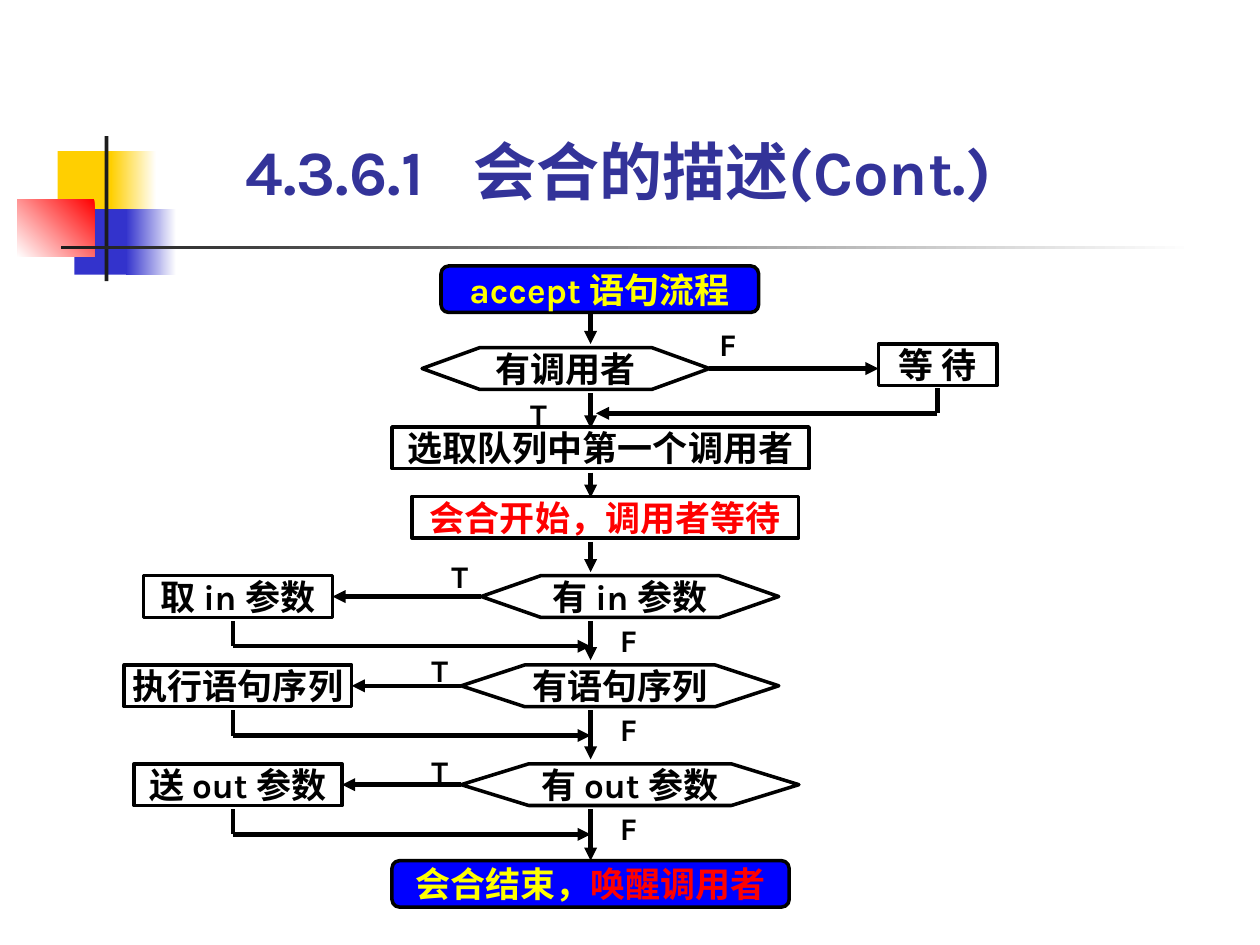
from lxml.etree import SubElement
from pptx import Presentation
from pptx.dml.color import RGBColor
from pptx.enum.shapes import MSO_CONNECTOR, MSO_SHAPE as SHAPE
from pptx.enum.text import MSO_ANCHOR as ANCHOR, PP_ALIGN as ALIGN
from pptx.oxml.ns import qn
from pptx.util import Pt

COLORS = {
    "black": "000000", "white": "FFFFFF", "ink": "1C1C1C", "title": "333399",
    "yellow": "FFFF00", "red": "FF0000", "blue": "0000FF",
    "gold": "FFCF01", "indigo": "3333CC",
}
LATIN, EAST_ASIAN = "Karla", "Noto Sans CJK SC"
TOP, LEFT, BOTTOM, RIGHT = range(4)


def rgb(name):
    return RGBColor.from_string(COLORS[name])


def add_run(paragraph, text, size=20, color="black", font=LATIN):
    run = paragraph.add_run()
    run.text = text
    run.font.size, run.font.bold, run.font.name = Pt(size), True, font
    run.font.color.rgb = rgb(color)
    SubElement(run.font._element, qn("a:ea"), typeface=EAST_ASIAN)


class FlowSlide:
    """Holds the line style of the flow chart and the slide it is drawn on."""

    def __init__(self, slide, outline=2, arrow_width=2.5):
        self.slide = slide
        self.outline = outline
        self.arrow_width = arrow_width

    def title(self, number, text, box, tab):
        shape = self.slide.shapes.title
        shape.left, shape.top, shape.width, shape.height = map(Pt, box)
        frame = shape.text_frame
        frame.vertical_anchor = ANCHOR.BOTTOM
        paragraph = frame.paragraphs[0]
        paragraph.alignment = ALIGN.LEFT
        tabs = SubElement(paragraph._p.get_or_add_pPr(), qn("a:tabLst"))
        SubElement(tabs, qn("a:tab"), pos=str(Pt(tab)), algn="l")
        add_run(paragraph, f"{number}\t{text}", size=36, color="title")

    def shape(self, kind, box):
        shape = self.slide.shapes.add_shape(kind, *map(Pt, box))
        shape.shadow.inherit = False
        return shape

    def ornament(self, box, *colors, angle=180):
        """Borderless rectangle: one colour is solid, two make a gradient."""
        shape = self.shape(SHAPE.RECTANGLE, box)
        shape.line.fill.background()
        if len(colors) == 1:
            shape.fill.solid()
            shape.fill.fore_color.rgb = rgb(colors[0])
            return
        shape.fill.gradient()
        shape.fill.gradient_angle = angle
        for stop, color in zip(shape.fill.gradient_stops, colors):
            stop.color.rgb = rgb(color)

    def set_text(self, shape, *runs, align=ALIGN.CENTER, anchor=ANCHOR.MIDDLE, **style):
        """Each run is a (text, color) pair."""
        frame = shape.text_frame
        frame.word_wrap = True
        frame.vertical_anchor = anchor
        frame.margin_left = frame.margin_right = 0
        frame.margin_top = frame.margin_bottom = 0
        paragraph = frame.paragraphs[0]
        paragraph.alignment = align
        for text, color in runs:
            add_run(paragraph, text, color=color, **style)

    def node(self, kind, box, *runs, fill=None, **style):
        shape = self.shape(kind, box)
        if fill:
            shape.fill.solid()
            shape.fill.fore_color.rgb = rgb(fill)
        else:
            shape.fill.background()
        shape.line.color.rgb = rgb("black")
        shape.line.width = Pt(self.outline)
        self.set_text(shape, *runs, **style)
        return shape

    def step(self, box, text, color="black", **style):
        return self.node(SHAPE.RECTANGLE, box, (text, color), **style)

    def decision(self, box, text):
        return self.node(SHAPE.FLOWCHART_PREPARATION, box, (text, "black"))

    def terminal(self, box, *runs):
        return self.node(SHAPE.FLOWCHART_ALTERNATE_PROCESS, box, *runs, fill="blue")

    def label(self, text, left, top):
        box = self.slide.shapes.add_textbox(Pt(left), Pt(top), Pt(17.3), Pt(21.6))
        self.set_text(box, (text, "black"), align=ALIGN.LEFT, anchor=ANCHOR.TOP, size=18)

    def line(self, start, end, arrow=True, begin_at=None, end_at=None):
        """begin_at and end_at are (shape, side) pairs to join."""
        connector = self.slide.shapes.add_connector(
            MSO_CONNECTOR.STRAIGHT, *map(Pt, (*start, *end)))
        if begin_at:
            connector.begin_connect(*begin_at)
        if end_at:
            connector.end_connect(*end_at)
        connector.line.color.rgb = rgb("black")
        connector.line.width = Pt(self.arrow_width)
        if arrow:
            SubElement(connector.line._get_or_add_ln(), qn("a:tailEnd"), type="triangle")
        SubElement(connector._element.spPr, qn("a:effectLst"))


def draw_ornaments(flow):
    flow.ornament((33, 86.4, 34.6, 37.4), "gold")
    flow.ornament((63.4, 86.4, 25.9, 37.4), "white", "gold")
    flow.ornament((42.5, 119.5, 33, 37.4), "indigo")
    flow.ornament((72, 119.5, 28.8, 37.4), "white", "indigo")
    flow.ornament((10, 113.8, 44, 33), "red", "white", angle=225)
    flow.ornament((59.8, 77.8, 2.2, 82.8), "ink")
    flow.ornament((34.6, 140.4, 648, 2.2), "white", "ink")


def draw_flow(flow):
    spine, height = 337.5, 23.8
    flow.terminal((252, 152, 181.5, 26.6), ("accept 语句流程", "yellow"))
    caller = flow.decision((241.2, 198.7, 164.2, height), "有调用者")
    flow.step((224, 244, 238.3, height), "选取队列中第一个调用者")
    flow.step((235.4, 283.7, 221, height), "会合开始，调用者等待", color="red")
    flow.step((502, 196.6, 67.7, height), "等 待", font=EAST_ASIAN)
    finish = flow.terminal((224, 491.8, 227, 26.6),
                           ("会合结束，", "yellow"), ("唤醒调用者", "red"))

    flow.label("F", 411, 185.8)
    flow.label("T", 303, 226)
    flow.line((405.4, 210.6), (502, 210.6), begin_at=(caller, RIGHT))
    flow.line((535.7, 221.8), (535.7, 236.2), arrow=False)
    flow.line((535.7, 236.2), (340.6, 236.2))
    for top, bottom in ((179.3, 196.6), (224.6, 244.8), (270, 284.4), (309.6, 327)):
        flow.line((spine, top), (spine, bottom))

    branch_center, return_x = 136, 133.2
    # top, decision text, left and width, branch text and width, T label top, next row
    branches = (
        (329, "有 in 参数", 275, 170, "取 in 参数", 108, 318.2, 377.3),
        (380, "有语句序列", 263.5, 181.5, "执行语句序列", 130, 372.2, 434),
        (436.5, "有 out 参数", 263.5, 193, "送 out 参数", 119, 430, 491.8),
    )
    for top, question, left, width, action, action_width, true_top, next_top in branches:
        decision = flow.decision((left, top, width, height), question)
        action_left = branch_center - action_width / 2
        step = flow.step((action_left, top, action_width, height), action)
        middle, exit_y, return_y = top + height / 2, top + 26, top + 40.3
        flow.label("T", left - 17, true_top)
        flow.label("F", 354.2, exit_y)
        flow.line((left, middle), (action_left + action_width, middle),
                  begin_at=(decision, LEFT), end_at=(step, RIGHT))
        flow.line((return_x, exit_y), (return_x, return_y), arrow=False)
        flow.line((return_x, return_y), (spine, return_y))
        last = top == branches[-1][0]
        flow.line((spine, exit_y), (spine, next_top),
                  end_at=(finish, TOP) if last else None)


def main():
    presentation = Presentation()
    presentation.slide_width, presentation.slide_height = Pt(720), Pt(540)
    slide = presentation.slides.add_slide(presentation.slide_layouts[5])
    flow = FlowSlide(slide)
    draw_ornaments(flow)
    draw_flow(flow)
    flow.title("4.3.6.1", "会合的描述(Cont.)", (133.2, 71.3, 476, 51), tab=130)
    presentation.save("out.pptx")


if __name__ == "__main__":
    main()
